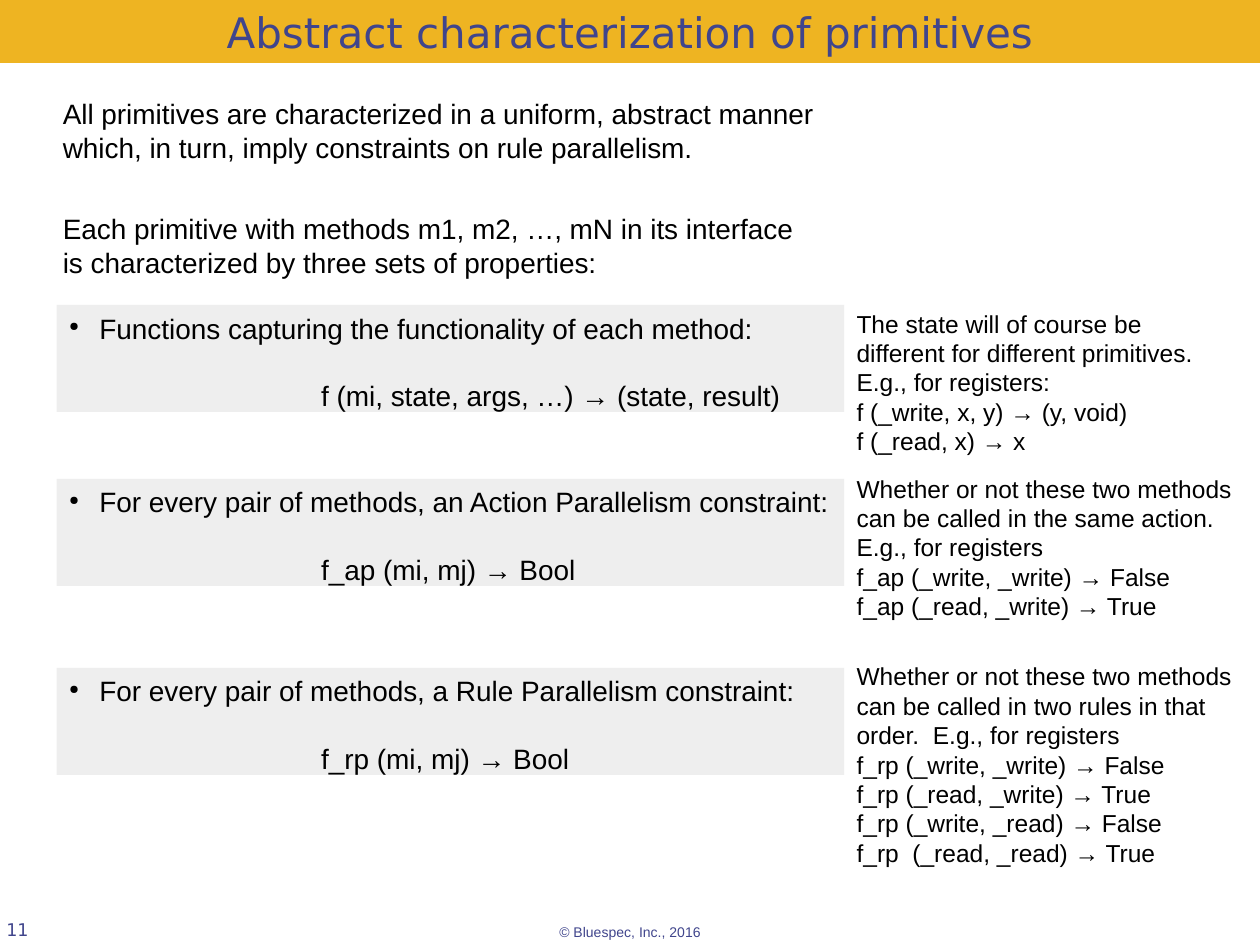
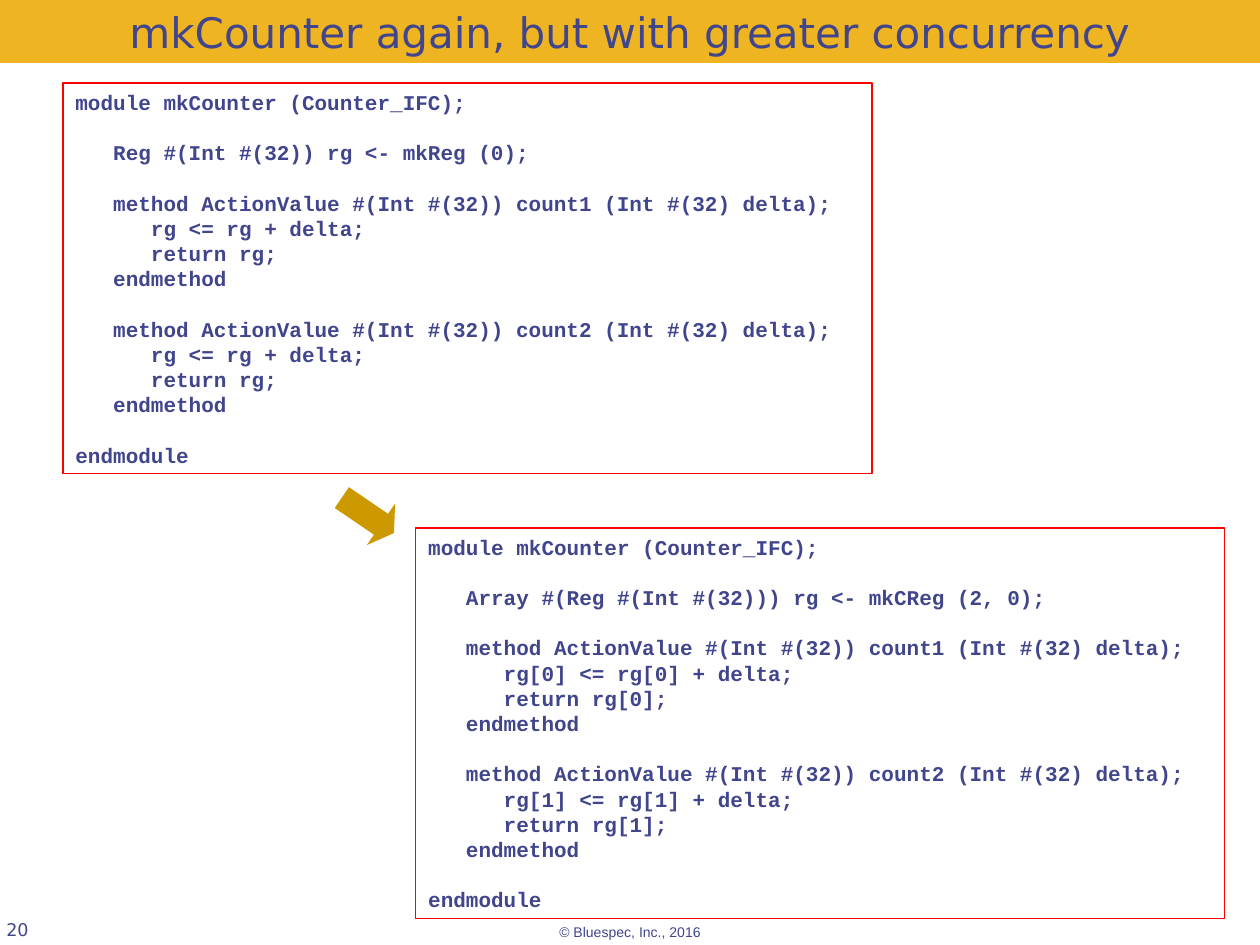
from lxml.etree import SubElement
from pptx import Presentation
from pptx.dml.color import RGBColor
from pptx.enum.shapes import MSO_SHAPE
from pptx.enum.text import MSO_ANCHOR, MSO_AUTO_SIZE, PP_ALIGN
from pptx.oxml.ns import qn
from pptx.util import Inches, Pt

# Shared style
INDIGO = RGBColor(0x40, 0x45, 0x8C)
GOLD = RGBColor(0xEE, 0xB4, 0x22)
OCHRE = RGBColor(0xCC, 0x99, 0x00)
PANEL = RGBColor(0xEE, 0xEE, 0xEE)
RED = RGBColor(0xFF, 0x00, 0x00)
BLACK = RGBColor(0x00, 0x00, 0x00)
SANS, MONO, HEAD = "Arial", "Courier New", "DejaVu Sans"
LEADING = 1.2
FOOTER = "© Bluespec, Inc., 2016"

# Slide content
PRIMITIVES_TITLE = "Abstract characterization of primitives"
INTROS = [  # top, width, lines
    (0.72, 6.17, ["All primitives are characterized in a uniform, abstract manner",
                  "which, in turn, imply constraints on rule parallelism."]),
    (1.63, 6.01, ["Each primitive with methods m1, m2, …, mN in its interface",
                  "is characterized by three sets of properties:"]),
]
PROPERTIES = [  # panel top, heading, formula, note top, note lines
    (2.42, "Functions capturing the functionality of each method:",
     "f (mi, state, args, …) → (state, result)",
     2.4, ["The state will of course be different for different primitives.",
           "E.g., for registers:",
           "f (_write, x, y) → (y, void)",
           "f (_read, x) → x"]),
    (3.8, "For every pair of methods, an Action Parallelism constraint:",
     "f_ap (mi, mj) → Bool",
     3.71, ["Whether or not these two methods can be called in the same action.  "
            "E.g., for registers",
            "f_ap (_write, _write) → False",
            "f_ap (_read, _write) → True"]),
    (5.3, "For every pair of methods, a Rule Parallelism constraint:",
     "f_rp (mi, mj) → Bool",
     5.2, ["Whether or not these two methods can be called in two rules in that "
           "order.  E.g., for registers",
           "f_rp (_write, _write) → False",
           "f_rp (_read, _write) → True",
           "f_rp (_write, _read) → False",
           "f_rp  (_read, _read) → True"]),
]

COUNTER_TITLE = "mkCounter again, but with greater concurrency"
COUNTER_CODE = """module mkCounter (Counter_IFC);

   {register}

   method ActionValue #(Int #(32)) count1 (Int #(32) delta);
      {first} <= {first} + delta;
      return {first};
   endmethod

   method ActionValue #(Int #(32)) count2 (Int #(32) delta);
      {second} <= {second} + delta;
      return {second};
   endmethod

endmodule"""
COUNTERS = [  # left, top, parts of the code that differ
    (0.5, 0.66, dict(register="Reg #(Int #(32)) rg <- mkReg (0);",
                     first="rg", second="rg")),
    (3.3, 4.19, dict(register="Array #(Reg #(Int #(32))) rg <- mkCReg (2, 0);",
                     first="rg[0]", second="rg[1]")),
]


def write(sp, lines, size=16, font=SANS, color=BLACK, bold=False, wrap=True,
          align=PP_ALIGN.LEFT, anchor=MSO_ANCHOR.TOP, inset=(0.1, 0.05)):
    """Fill a shape with lines; an empty line becomes space before the next."""
    tf = sp.text_frame
    tf.auto_size, tf.word_wrap = MSO_AUTO_SIZE.NONE, wrap
    tf.vertical_anchor = anchor
    tf.margin_left = tf.margin_right = Inches(inset[0])
    tf.margin_top = tf.margin_bottom = Inches(inset[1])
    pitch, gap, p = Pt(size * LEADING), 0, None
    for line in lines:
        if not line:
            gap += pitch
            continue
        p = tf.add_paragraph() if p is not None else tf.paragraphs[0]
        p.alignment, p.line_spacing, p.space_before = align, pitch, gap
        r = p.add_run()
        r.text = line
        r.font.size, r.font.name, r.font.bold = Pt(size), font, bold
        r.font.color.rgb = color
        gap = 0
    return tf


def indent(p, left, bullet=None):
    pPr = p._p.get_or_add_pPr()
    pPr.set("marL", str(Inches(left)))
    if bullet:
        pPr.set("indent", str(-Inches(left)))
        SubElement(pPr, qn("a:buSzPct")).set("val", "45000")
        SubElement(pPr, qn("a:buChar")).set("char", bullet)


def add_text(slide, box, lines, **style):
    return write(slide.shapes.add_textbox(*map(Inches, box)), lines, **style)


def add_box(slide, kind, box, fill=None, line=None):
    sp = slide.shapes.add_shape(kind, *map(Inches, box))
    sp.shadow.inherit = False
    if fill is None:
        sp.fill.background()
    else:
        sp.fill.solid()
        sp.fill.fore_color.rgb = fill
    if line is None:
        sp.line.fill.background()
    else:
        sp.line.color.rgb, sp.line.width = line, Pt(0.75)
    return sp


def add_slide(prs, title, number):
    slide = prs.slides.add_slide(prs.slide_layouts[5])
    # Title band
    sp = slide.shapes.title
    sp.left, sp.top, sp.width, sp.height = 0, 0, prs.slide_width, Inches(0.5)
    sp.fill.solid()
    sp.fill.fore_color.rgb = GOLD
    write(sp, [title], size=24, font=HEAD, color=INDIGO, align=PP_ALIGN.CENTER,
          anchor=MSO_ANCHOR.BOTTOM, inset=(0, 0.05))
    # Footer and slide number
    add_text(slide, (4.34, 7.28, 1.32, 0.23), [FOOTER], size=8, color=INDIGO, wrap=False)
    add_text(slide, (0.05, 6.96, 2.08, 0.5), [number], size=10, font=HEAD,
             color=INDIGO, anchor=MSO_ANCHOR.BOTTOM, inset=(0, 0))
    return slide


def primitives_slide(prs):
    slide = add_slide(prs, PRIMITIVES_TITLE, "11")
    for top, width, lines in INTROS:
        add_text(slide, (0.4, top, width, 0.6), lines, wrap=False)
    # Property panels with notes beside them
    for top, heading, formula, note_top, note in PROPERTIES:
        sp = add_box(slide, MSO_SHAPE.RECTANGLE, (0.45, top, 6.25, 0.85), fill=PANEL)
        tf = write(sp, [heading, "", formula])
        indent(tf.paragraphs[0], 0.24, bullet="●")
        indent(tf.paragraphs[1], 2)
        height = 1.85 if len(note) > 4 else 1.19
        add_text(slide, (6.7, note_top, 3.2, height), note, size=14)


def counter_slide(prs):
    slide = add_slide(prs, COUNTER_TITLE, "20")
    # Code before and after
    for left, top, parts in COUNTERS:
        sp = add_box(slide, MSO_SHAPE.RECTANGLE, (left, top, 6.42, 3.1), line=RED)
        write(sp, COUNTER_CODE.format(**parts).split("\n"), size=12, font=MONO,
              color=INDIGO, bold=True)
    # Arrow from one to the other
    arrow = add_box(slide, MSO_SHAPE.RIGHT_ARROW, (2.67, 3.89, 0.5, 0.4), fill=OCHRE)
    arrow.adjustments[0], arrow.adjustments[1] = 0.5, 0.31
    arrow.rotation = 34.2


def main():
    prs = Presentation()
    prs.slide_width, prs.slide_height = Inches(10), Inches(7.5)
    primitives_slide(prs)
    counter_slide(prs)
    prs.save("out.pptx")


if __name__ == "__main__":
    main()
